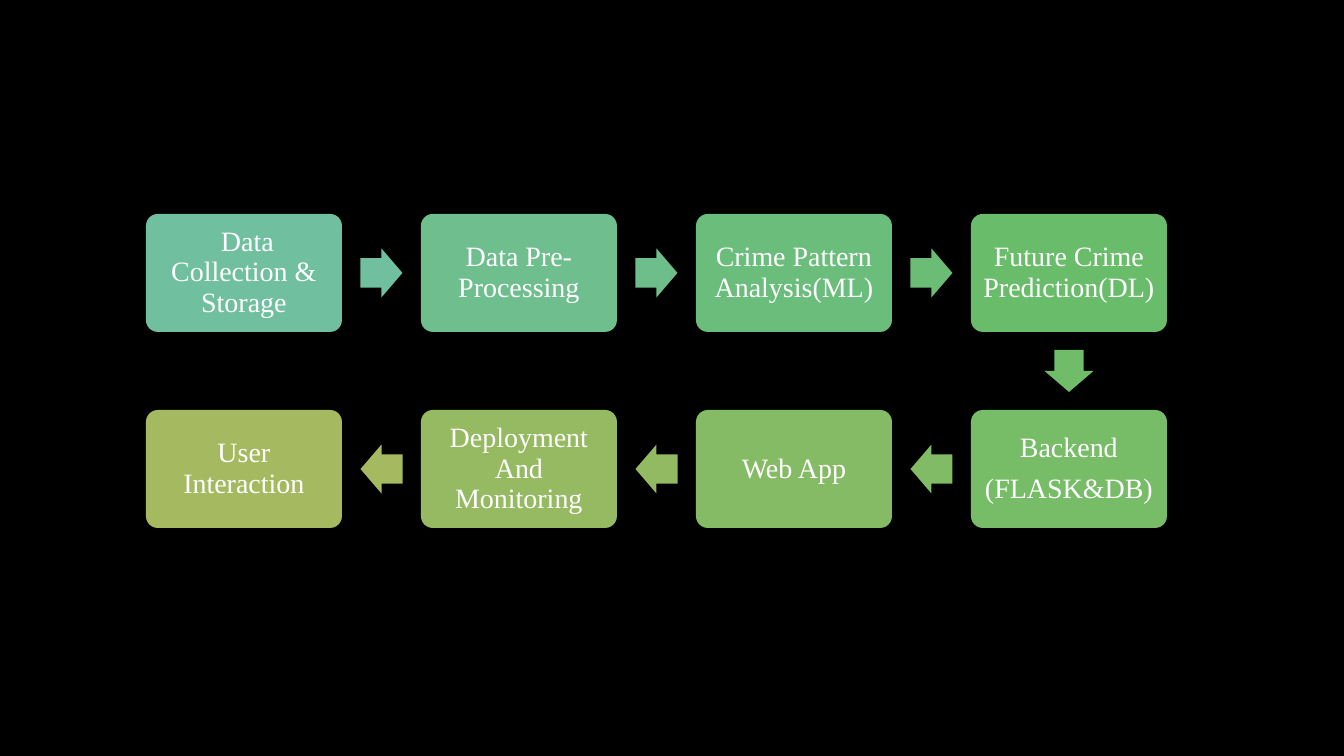
from dataclasses import dataclass
from itertools import pairwise

from pptx import Presentation
from pptx.dml.color import RGBColor
from pptx.enum.shapes import MSO_SHAPE as Shape
from pptx.enum.text import MSO_ANCHOR as Anchor, PP_ALIGN as Align
from pptx.util import Pt

EMU_PER_PX = 914400 / 134.4


@dataclass(frozen=True)
class Theme:
    background: str = "000000"
    text: str = "FFFFFF"
    font: str = "Times New Roman"
    size: int = 15
    stages: tuple = ("70BF9F", "6EBE8E", "6BBD7C", "69BC6A",
                     "77BC67", "86BB65", "95BA62", "A5B960")
    arrows: tuple = ("70BF9F", "6DBE8B", "6BBD76", "70BC68",
                     "81BB65", "92BA63", "A5B960")


THEME = Theme()
COLUMNS = 4
LEFT, TOP = 146, 214
PITCH_X, PITCH_Y = 275, 196
CARD_W, CARD_H = 196, 118
ARROW_W, ARROW_H = 42, 49
MARGIN = 7

STAGES = (
    (" Data Collection & Storage",),
    ("Data Pre-Processing",),
    ("Crime Pattern Analysis(ML)",),
    ("Future Crime Prediction(DL)",),
    ("Backend", "(FLASK&DB)"),
    ("Web App",),
    ("Deployment And Monitoring",),
    ("User Interaction",),
)


def px(length):
    return round(length * EMU_PER_PX)


def rgb(color):
    return RGBColor.from_string(color)


def stage_centre(index):
    row, step = divmod(index, COLUMNS)
    column = COLUMNS - 1 - step if row else step
    return (LEFT + column * PITCH_X + CARD_W // 2,
            TOP + row * PITCH_Y + CARD_H // 2)


def add_block(slide, preset, centre, width, height, color, adjustments):
    x, y = centre
    block = slide.shapes.add_shape(
        preset, px(x - width / 2), px(y - height / 2), px(width), px(height))
    for index, value in enumerate(adjustments):
        block.adjustments[index] = value
    block.fill.solid()
    block.fill.fore_color.rgb = rgb(color)
    block.line.fill.background()
    block.shadow.inherit = False
    return block


def add_stage(slide, centre, lines, color):
    card = add_block(slide, Shape.ROUNDED_RECTANGLE, centre,
                     CARD_W, CARD_H, color, (0.1,))
    frame = card.text_frame
    frame.word_wrap = True
    frame.vertical_anchor = Anchor.MIDDLE
    frame.margin_left = frame.margin_right = px(MARGIN)
    frame.margin_top = frame.margin_bottom = px(MARGIN)
    for index, line in enumerate(lines):
        paragraph = frame.add_paragraph() if index else frame.paragraphs[0]
        paragraph.alignment = Align.CENTER
        paragraph.line_spacing = 0.9
        paragraph.space_after = Pt(6)
        label = paragraph.add_run()
        label.text = line
        label.font.name = THEME.font
        label.font.size = Pt(THEME.size)
        label.font.color.rgb = rgb(THEME.text)


def add_arrow(slide, start, end, color):
    (x1, y1), (x2, y2) = start, end
    middle = ((x1 + x2) / 2, (y1 + y2) / 2)
    arrow = add_block(slide, Shape.RIGHT_ARROW, middle,
                      ARROW_W, ARROW_H, color, (0.6, 0.5))
    arrow.rotation = 90 if y2 > y1 else 180 if x2 < x1 else 0


def main():
    """Build the crime prediction workflow slide."""
    deck = Presentation()
    deck.slide_width, deck.slide_height = px(1344), px(756)
    slide = deck.slides.add_slide(deck.slide_layouts[6])
    slide.background.fill.solid()
    slide.background.fill.fore_color.rgb = rgb(THEME.background)

    centres = [stage_centre(index) for index in range(len(STAGES))]
    for centre, lines, color in zip(centres, STAGES, THEME.stages):
        add_stage(slide, centre, lines, color)
    for (start, end), color in zip(pairwise(centres), THEME.arrows):
        add_arrow(slide, start, end, color)
    deck.save("out.pptx")


if __name__ == "__main__":
    main()
